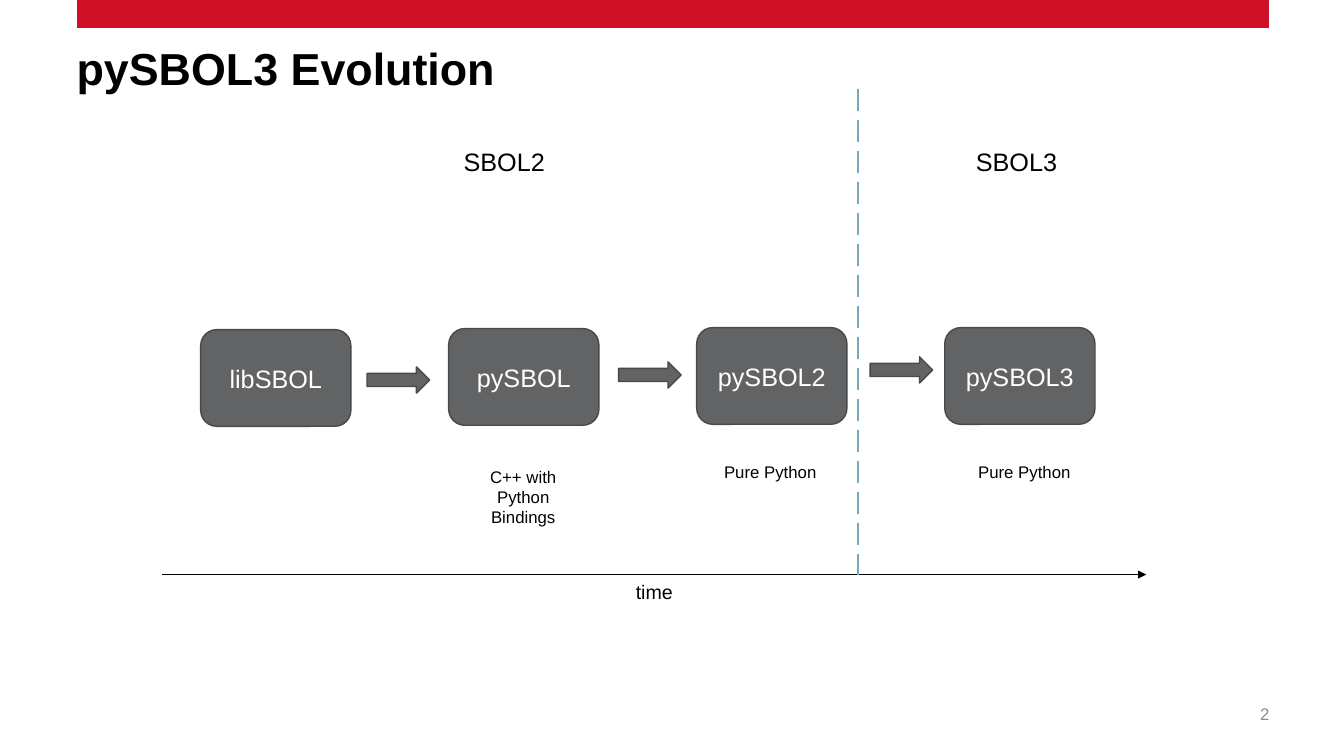
from lxml import etree
from pptx import Presentation
from pptx.dml.color import RGBColor
from pptx.enum.dml import MSO_LINE
from pptx.enum.shapes import MSO_CONNECTOR, MSO_SHAPE
from pptx.enum.text import MSO_ANCHOR, MSO_AUTO_SIZE, PP_ALIGN
from pptx.oxml.ns import qn
from pptx.util import Inches, Pt

LEFT, CENTER, RIGHT = PP_ALIGN.LEFT, PP_ALIGN.CENTER, PP_ALIGN.RIGHT
TOP, MIDDLE = MSO_ANCHOR.TOP, MSO_ANCHOR.MIDDLE
NO_FIT = MSO_AUTO_SIZE.NONE
STRAIGHT = MSO_CONNECTOR.STRAIGHT
ROUNDED, ARROW = MSO_SHAPE.ROUNDED_RECTANGLE, MSO_SHAPE.RIGHT_ARROW
LONG_DASH = MSO_LINE.LONG_DASH

RED, BLUE = "CE1126", "7BA7BC"
GRAY, DARK_GRAY, LIGHT_GRAY = "616365", "48494B", "8C8C8C"
BLACK, WHITE = "000000", "FFFFFF"

LIBRARIES = [("libSBOL", 3.27), ("pySBOL", 3.26), ("pySBOL2", 3.25), ("pySBOL3", 3.25)]
NOTES = [
    ("C++ with Python Bindings", 4.62, 4.58, 0.71),
    ("Pure Python", 7.07, 4.53, 0.3),
    ("Pure Python", 9.59, 4.53, 0.3),
]
STANDARDS = [("SBOL2", 4.5), ("SBOL3", 9.58)]


def color(hex_value):
    return RGBColor.from_string(hex_value)


def write(frame, text, size, hex_value=BLACK, align=CENTER, bold=False):
    para = frame.paragraphs[0]
    para.alignment = align
    span = para.add_run()
    span.text = text
    formats = {"name": "Arial", "size": Pt(size), "bold": bold}
    for name, value in formats.items():
        setattr(span.font, name, value)
    span.font.color.rgb = color(hex_value)
    return para


def set_frame(frame, **formats):
    for name, value in formats.items():
        setattr(frame, name, value)


def remove_insets(frame):
    set_frame(frame, margin_left=0, margin_top=0, margin_right=0, margin_bottom=0)


def add_title(page, text):
    title = page.shapes.title
    place = {"left": 0.76, "top": 0.51, "width": 11.82, "height": 0.74}
    for name, value in place.items():
        setattr(title, name, Inches(value))
    frame = title.text_frame
    remove_insets(frame)
    set_frame(frame, vertical_anchor=TOP, auto_size=NO_FIT)
    write(frame, text, 32, align=LEFT, bold=True).line_spacing = 0.8


def add_text(page, text, place, size, wrap=True, **formats):
    box = page.shapes.add_textbox(*map(Inches, place))
    box.text_frame.word_wrap = wrap
    write(box.text_frame, text, size, **formats)
    return box


def add_gray_shape(page, kind, place):
    shape = page.shapes.add_shape(kind, *map(Inches, place))
    shape.shadow.inherit = False
    shape.fill.solid()
    shape.fill.fore_color.rgb = color(GRAY)
    shape.line.color.rgb = color(DARK_GRAY)
    shape.line.width = Pt(1)
    return shape


def add_line(page, ends, hex_value, width, dash=None, arrow=False):
    line = page.shapes.add_connector(STRAIGHT, *map(Inches, ends))
    line.line.color.rgb = color(hex_value)
    line.line.width = Pt(width)
    if dash:
        line.line.dash_style = dash
    if arrow:
        etree.SubElement(line.line._get_or_add_ln(), qn("a:tailEnd"), type="triangle")
    etree.SubElement(line._element.spPr, qn("a:effectLst"))


def main():
    deck = Presentation()
    deck.slide_width, deck.slide_height = Inches(13.33), Inches(7.5)
    page = deck.slides.add_slide(deck.slide_layouts[5])

    # Top bar, title and page number
    add_line(page, (0.76, 0.14, 12.59, 0.14), RED, 20)
    add_title(page, "pySBOL3 Evolution")
    number = add_text(page, "2", (12.01, 6.98, 0.58, 0.4), 12,
                      hex_value=LIGHT_GRAY, align=RIGHT)
    remove_insets(number.text_frame)

    # Time axis
    add_line(page, (1.61, 5.7, 11.37, 5.7), BLACK, 1, arrow=True)
    add_text(page, "time", (5.92, 5.7, 1.14, 0.34), 14)

    # Libraries and the notes below them
    for index, (name, top) in enumerate(LIBRARIES):
        box = add_gray_shape(page, ROUNDED, (1.99 + 2.46 * index, top, 1.49, 0.96))
        set_frame(box.text_frame, vertical_anchor=MIDDLE, word_wrap=True)
        write(box.text_frame, name, 18, WHITE)
    for text, left, top, height in NOTES:
        add_text(page, text, (left, top, 1.14, height), 12)

    # Arrows from each library to the next
    for index in range(len(LIBRARIES) - 1):
        place = (3.64 + 2.495 * index, 3.64 - 0.05 * index, 0.62, 0.26)
        add_gray_shape(page, ARROW, place)

    # Divider between the two standards
    add_line(page, (8.51, 0.88, 8.51, 5.7), BLUE, 2, dash=LONG_DASH)
    for name, left in STANDARDS:
        add_text(page, name, (left, 1.4, 1.02, 0.4), 18, wrap=False, align=LEFT)

    deck.save("out.pptx")


if __name__ == "__main__":
    main()
